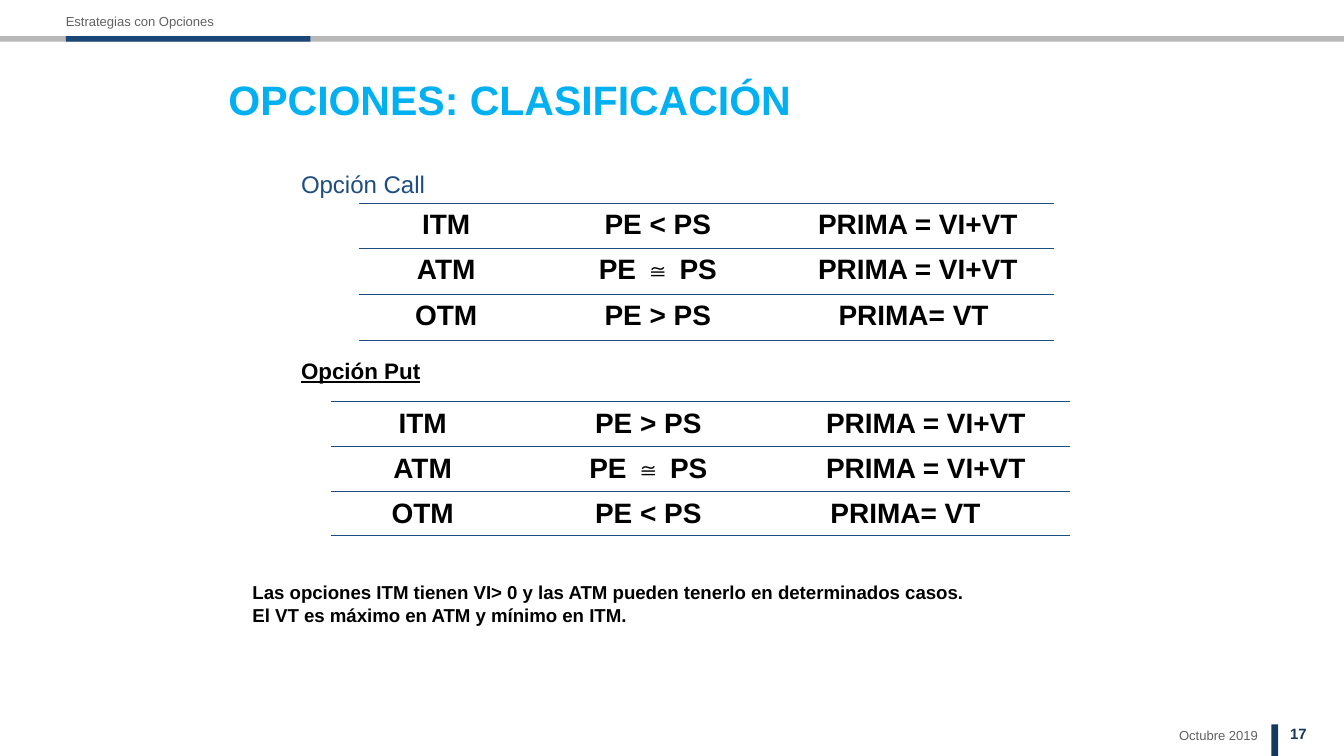
"""Slide that classifies call and put options by moneyness."""
from lxml import etree
from pptx import Presentation
from pptx import util as u
from pptx.dml.color import RGBColor
from pptx.enum import shapes, text
from pptx.oxml.ns import qn

WIDTH = 10
HEIGHT = WIDTH * 9 / 16
FONT = "Arial"
BLUE, NAVY, GREY = "1D4D81", "15375C", "626263"
LEFT, CENTER, RIGHT = text.PP_ALIGN.LEFT, text.PP_ALIGN.CENTER, text.PP_ALIGN.RIGHT
TOP, MIDDLE = text.MSO_ANCHOR.TOP, text.MSO_ANCHOR.MIDDLE
NO_INSET, INSET, NOTE_INSET = (0, 0), (0.08, 0.04), (0.1, 0.05)

BARS = [
    ((0, 0.27, WIDTH, 0.04), "B8B8B8"),
    ((0.49, 0.27, 1.82, 0.04), "1B4777"),
    ((9.46, 5.39, 0.05, 0.24), NAVY),
]
TITLE = (["OPCIONES: CLASIFICACIÓN"], (1.62, 0.41, 6.75, 0.65), INSET, MIDDLE,
         dict(size=22, color="00B0F0", bold=True))
CALL_HEADING = (["Opción Call"], (2.16, 1.22, 3.02, 0.3), INSET, TOP,
                dict(size=12.9, color=BLUE))
LABELS = [
    (["Estrategias con Opciones"], (0.49, 0.1, 3.14, 0.12), NO_INSET, TOP,
     dict(size=7, color=GREY)),
    (["17"], (9.6, 5.39, 0.4, 0.13), NO_INSET, TOP,
     dict(size=8, color=NAVY, bold=True)),
    (["Octubre 2019"], (8.23, 5.41, 1.13, 0.12), NO_INSET, TOP,
     dict(size=7, color=GREY, align=RIGHT)),
    (["Opción Put"], (2.16, 2.64, 1.42, 0.35), INSET, TOP,
     dict(size=12, bold=True, underline=True, spacing=0.9)),
    (["Las opciones ITM tienen VI> 0 y las ATM pueden tenerlo en determinados casos.",
      "El VT es máximo en ATM y mínimo en ITM."],
     (1.78, 4.27, 6.59, 0.44), NOTE_INSET, MIDDLE, dict(size=10, bold=True)),
]
PREMIUMS = ["PRIMA = VI+VT", "PRIMA = VI+VT", "PRIMA= VT"]
STATES = ["ITM", "ATM", "OTM"]
TABLES = [
    dict(relations=["PE < PS", "PE ≅ PS", "PE > PS"], corner=(2.67, 1.51),
         columns=[1.3, 1.85, 2.02], row=0.34, spacing=0.9, indent=0.42),
    dict(relations=["PE > PS", "PE ≅ PS", "PE < PS"], corner=(2.46, 2.99),
         columns=[1.37, 1.99, 2.14], row=0.33, spacing=1.0, indent=0.36),
]


def rgb(value):
    return RGBColor.from_string(value)


def inches(values):
    return [u.Inches(value) for value in values]


def style(para, size, color="000000", bold=False, underline=False,
          align=LEFT, spacing=1.0):
    properties = para._p.get_or_add_pPr()
    properties.set("marL", "0")
    properties.set("indent", "0")
    etree.SubElement(properties, qn("a:buNone"))
    para.alignment, para.line_spacing, para.space_before = align, spacing, u.Pt(0)
    font = para.font
    font.name, font.size, font.bold = FONT, u.Pt(size), bold
    font.underline = underline
    font.color.rgb = rgb(color)


def fill_box(box, lines, area, inset, anchor, look):
    box.left, box.top, box.width, box.height = inches(area)
    frame = box.text_frame
    frame.word_wrap = True
    frame.auto_size = text.MSO_AUTO_SIZE.NONE
    frame.vertical_anchor = anchor
    frame.margin_left = frame.margin_right = u.Inches(inset[0])
    frame.margin_top = frame.margin_bottom = u.Inches(inset[1])
    frame.text = "\n".join(lines)
    for para in frame.paragraphs:
        style(para, **look)


def add_bar(page, area, color):
    bar = page.shapes.add_shape(shapes.MSO_SHAPE.RECTANGLE, *inches(area))
    bar.shadow.inherit = False
    bar.fill.solid()
    bar.fill.fore_color.rgb = rgb(color)
    bar.line.fill.background()


def add_borders(cell):
    properties = cell._tc.get_or_add_tcPr()
    for side in "LRTB":
        line = etree.SubElement(properties, qn(f"a:ln{side}"), w=str(u.Pt(0.45)))
        if side in "LR":
            etree.SubElement(line, qn("a:noFill"))
        else:
            solid = etree.SubElement(line, qn("a:solidFill"))
            etree.SubElement(solid, qn("a:srgbClr"), val=BLUE)


def add_option_table(page, relations, corner, columns, row, spacing, indent):
    rows = list(zip(STATES, relations, PREMIUMS))
    area = (*corner, sum(columns), row * len(rows))
    table = page.shapes.add_table(len(rows), len(columns), *inches(area)).table
    table.first_row = table.horz_banding = False
    for column, width in zip(table.columns, columns):
        column.width = u.Inches(width)
    for r, words in enumerate(rows):
        for c, word in enumerate(words):
            cell = table.cell(r, c)
            cell.text = word
            add_borders(cell)
            cell.fill.background()
            cell.vertical_anchor = MIDDLE
            cell.margin_left = cell.margin_right = u.Inches(0.08)
            cell.margin_top = cell.margin_bottom = u.Inches(0.05)
            style(cell.text_frame.paragraphs[0], 15, bold=True, align=CENTER,
                  spacing=spacing)
    last = table.cell(len(rows) - 1, len(columns) - 1)
    last.text_frame.paragraphs[0].alignment = LEFT
    last.margin_left = u.Inches(indent)


def main():
    deck = Presentation()
    deck.slide_width, deck.slide_height = inches((WIDTH, HEIGHT))
    page = deck.slides.add_slide(deck.slide_layouts[1])

    fill_box(page.shapes.title, *TITLE)
    fill_box(page.placeholders[1], *CALL_HEADING)
    for area, color in BARS:
        add_bar(page, area, color)
    for label in LABELS:
        box = page.shapes.add_textbox(*inches(label[1]))
        fill_box(box, *label)
    for option in TABLES:
        add_option_table(page, **option)
    deck.save("out.pptx")


if __name__ == "__main__":
    main()
